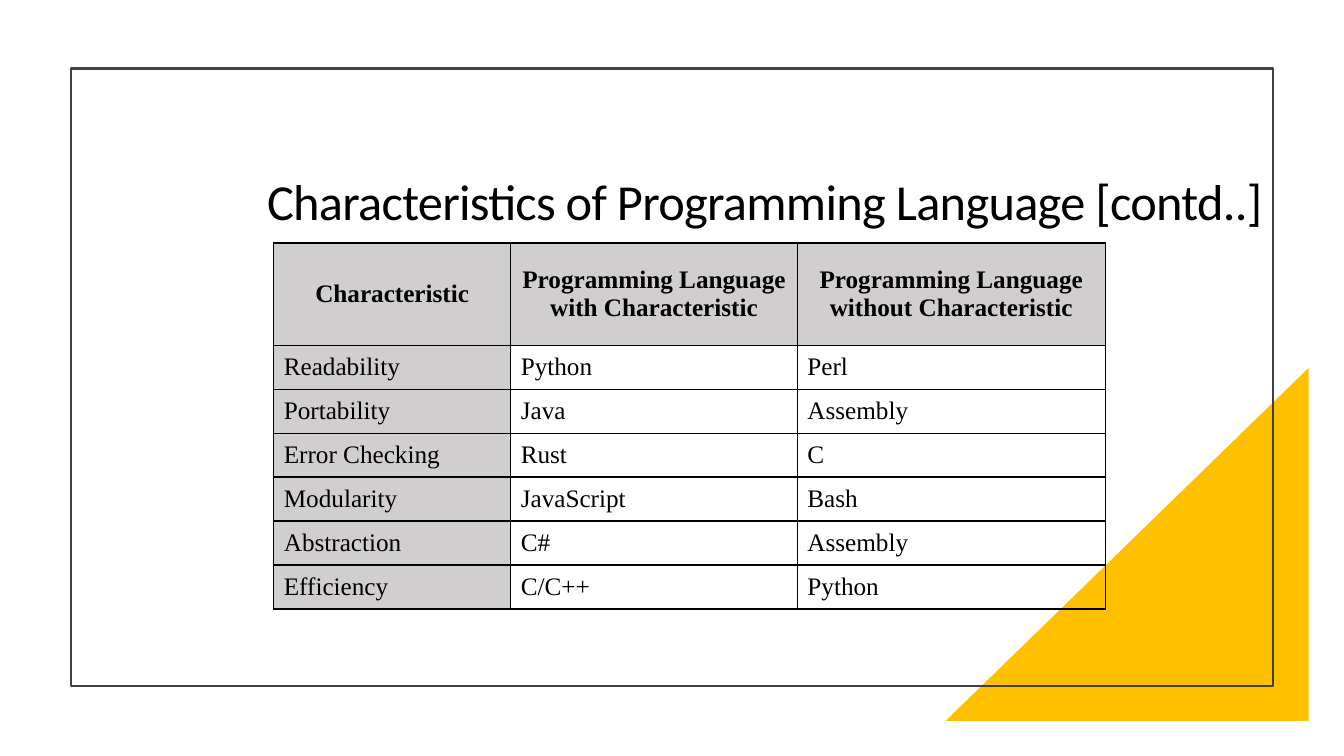
import pptx
import pptx.util
import pptx.dml.color
import pptx.enum.shapes
import pptx.enum.text
import lxml.etree

Pt = pptx.util.Pt
Kind = pptx.enum.shapes.MSO_SHAPE
Align = pptx.enum.text.PP_ALIGN
Middle = pptx.enum.text.MSO_ANCHOR.MIDDLE

BLACK, GREY, DARK, GOLD = "000000", "D0CECE", "404040", "FFC000"


def color(value):
    return pptx.dml.color.RGBColor.from_string(value)


def write(frame, text, size=18, font="Times New Roman", bold=False,
          align=Align.LEFT, space=None, track=None):
    """Put formatted text in a frame."""
    line = frame.paragraphs[0]
    line.alignment = align
    line.line_spacing = space
    run = line.add_run()
    run.text = text
    run.font.size = Pt(size)
    run.font.name = font
    run.font.bold = bold
    run.font.color.rgb = color(BLACK)
    if track is not None:
        run.font._element.set("spc", str(round(track * 100)))


class Deck:
    """Style and current slide; lengths are percentages of the slide."""

    def __init__(self):
        self.show = pptx.Presentation()
        self.show.slide_width = pptx.util.Inches(13.33)
        self.show.slide_height = pptx.util.Inches(7.5)
        self.slide = self.show.slides.add_slide(self.show.slide_layouts[5])

    def wide(self, share):
        return round(self.show.slide_width * share / 100)

    def high(self, share):
        return round(self.show.slide_height * share / 100)

    def box(self, left, top, width, height):
        return self.wide(left), self.high(top), self.wide(width), self.high(height)

    def shape(self, kind, place, fill=None, line=None, flip=False):
        item = self.slide.shapes.add_shape(kind, *self.box(*place))
        item.shadow.inherit = False
        if fill:
            item.fill.solid()
            item.fill.fore_color.rgb = color(fill)
        else:
            item.fill.background()
        if line:
            item.line.color.rgb = color(line)
            item.line.width = Pt(1.5)
        else:
            item.line.fill.background()
        if flip:
            item._element.spPr.xfrm.set("flipH", "1")

    def title(self, text, place):
        item = self.slide.shapes.title
        item.left, item.top, item.width, item.height = self.box(*place)
        frame = item.text_frame
        frame.word_wrap = True
        frame.auto_size = pptx.enum.text.MSO_AUTO_SIZE.NONE
        frame.vertical_anchor = Middle
        write(frame, text, size=36, font="Calibri", align=Align.RIGHT,
              space=0.9, track=-0.5)

    def edge(self, cell):
        """Draw a thin black line on all four sides of a cell."""
        props = cell._tc.get_or_add_tcPr()
        space = props.nsmap["a"]
        for side in ("lnL", "lnR", "lnT", "lnB"):
            line = lxml.etree.SubElement(props, f"{{{space}}}{side}", w=str(Pt(1)))
            fill = lxml.etree.SubElement(line, f"{{{space}}}solidFill")
            lxml.etree.SubElement(fill, f"{{{space}}}srgbClr", val=BLACK)

    def table(self, rows, left, top, widths, head, body):
        heights = [head] + [body] * (len(rows) - 1)
        place = self.box(left, top, sum(widths), sum(heights))
        grid = self.slide.shapes.add_table(len(rows), len(widths), *place).table
        grid.horz_banding = False
        for col, width in zip(grid.columns, widths):
            col.width = self.wide(width)
        for r, (texts, height) in enumerate(zip(rows, heights)):
            grid.rows[r].height = self.high(height)
            for c, text in enumerate(texts):
                cell = grid.cell(r, c)
                cell.vertical_anchor = Middle
                self.edge(cell)
                if r == 0 or c == 0:
                    cell.fill.solid()
                    cell.fill.fore_color.rgb = color(GREY)
                else:
                    cell.fill.background()
                write(cell.text_frame, text, bold=r == 0,
                      align=Align.CENTER if r == 0 else Align.LEFT)


def main():
    deck = Deck()

    # Corner triangle and frame
    deck.shape(Kind.RIGHT_TRIANGLE, (70.37, 48.67, 27, 46.67), fill=GOLD, flip=True)
    deck.shape(Kind.RECTANGLE, (5.25, 9.07, 89.5, 81.73), line=DARK)

    # Title
    deck.title("Characteristics of Programming Language [contd..]",
               (7.88, 15.2, 86.8, 23.6))

    # Languages by characteristic
    rows = [
        ("Characteristic", "Programming Language with Characteristic",
         "Programming Language without Characteristic"),
        ("Readability", "Python", "Perl"),
        ("Portability", "Java", "Assembly"),
        ("Error Checking", "Rust", "C"),
        ("Modularity", "JavaScript", "Bash"),
        ("Abstraction", "C#", "Assembly"),
        ("Efficiency", "C/C++", "Python"),
    ]
    deck.table(rows, 20.37, 32.13, (17.63, 21.33, 22.9), head=13.53, body=5.82)

    deck.show.save("out.pptx")


if __name__ == "__main__":
    main()
